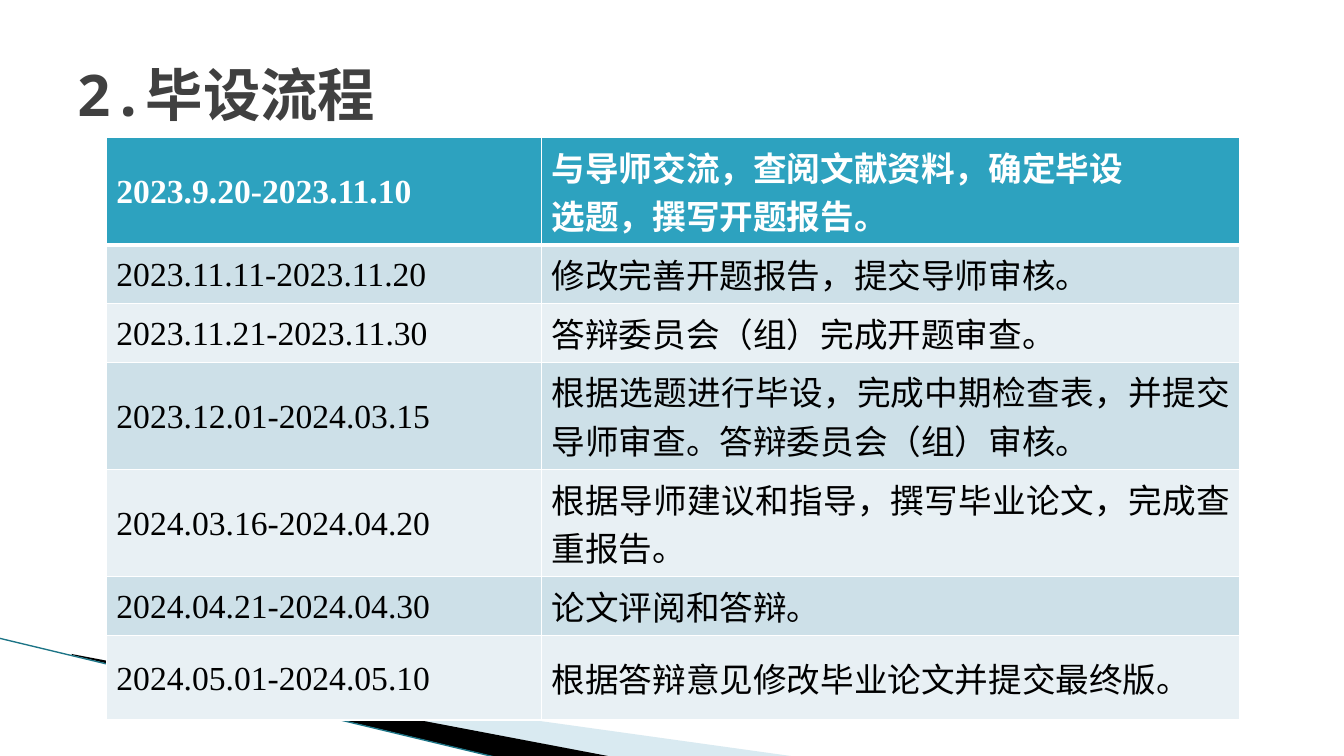
"""Build the slide with the timetable of the graduation project."""
from lxml import etree
from pptx import Presentation
from pptx.dml.color import RGBColor
from pptx.enum.shapes import MSO_CONNECTOR
from pptx.enum.text import MSO_ANCHOR, PP_ALIGN
from pptx.oxml.ns import qn
from pptx.util import Cm, Pt

MIDDLE = MSO_ANCHOR.MIDDLE
LEFT, JUSTIFY = PP_ALIGN.LEFT, PP_ALIGN.JUSTIFY
STRAIGHT = MSO_CONNECTOR.STRAIGHT

TITLE = "2.毕设流程"
STEPS = [
    ("2023.9.20-2023.11.10", "与导师交流，查阅文献资料，确定毕设\n选题，撰写开题报告。", 2.57),
    ("2023.11.11-2023.11.20", "修改完善开题报告，提交导师审核。", 1.27),
    ("2023.11.21-2023.11.30", "答辩委员会（组）完成开题审查。", 1.27),
    ("2023.12.01-2024.03.15",
     "根据选题进行毕设，完成中期检查表，并提交导师审查。答辩委员会（组）审核。", 2.57),
    ("2024.03.16-2024.04.20", "根据导师建议和指导，撰写毕业论文，完成查重报告。", 2.29),
    ("2024.04.21-2024.04.30", "论文评阅和答辩。", 1.27),
    ("2024.05.01-2024.05.10", "根据答辩意见修改毕业论文并提交最终版。", 2.13),
]
WIDTHS = (10.97, 17.6)
SPACING = 1.06
FONTS = ("Times New Roman", "Noto Sans Mono")
COLORS = {
    "title": "404040", "head": "2DA2BF", "odd": "CDE0E8", "even": "E8F0F4",
    "white": "FFFFFF", "black": "000000", "pale": "A0CBDC", "edge": "1C7486",
}
WEDGES = [
    ("pale", 40, [(1.85, 16.53), (20.14, 19.08), (15.44, 19.08), (1.85, 16.51)]),
    ("black", 100, [(1.8, 16.48), (15.47, 19.08), (12.6, 19.1), (1.83, 16.51)]),
]
EDGE = (-0.03, 16.08, 12.57, 19.1)


def color(name):
    return RGBColor.from_string(COLORS[name])


def style(run, face, size, tint, bold):
    font = run.font
    font.name, font.size, font.bold = face, Pt(size), bold
    font.color.rgb = color(tint)
    east = etree.SubElement(font._element, qn("a:ea"))
    east.set("typeface", face)


def border(cell, head):
    props = cell._tc.get_or_add_tcPr()
    for spot, side in enumerate("LRTB"):
        line = etree.Element(qn("a:ln" + side))
        line.set("w", str(Pt(3 if head and side == "B" else 1)))
        fill = etree.SubElement(line, qn("a:solidFill"))
        etree.SubElement(fill, qn("a:srgbClr")).set("val", COLORS["white"])
        props.insert(spot, line)


def wedge(shapes, tint, alpha, points):
    first, *rest = [(Cm(x), Cm(y)) for x, y in points]
    path = shapes.build_freeform(*first)
    path.add_line_segments(rest)
    shape = path.convert_to_shape()
    shape.shadow.inherit = False
    shape.fill.solid()
    shape.fill.fore_color.rgb = color(tint)
    shape.line.fill.background()
    if alpha < 100:
        tone = shape._element.spPr.find(".//" + qn("a:srgbClr"))
        etree.SubElement(tone, qn("a:alpha")).set("val", str(alpha * 1000))


deck = Presentation()
deck.slide_width, deck.slide_height = Cm(33.87), Cm(19.05)
slide = deck.slides.add_slide(deck.slide_layouts[5])
shapes = slide.shapes

for item in WEDGES:
    wedge(shapes, *item)
edge = shapes.add_connector(STRAIGHT, *map(Cm, EDGE))
edge.line.color.rgb, edge.line.width = color("edge"), Pt(0.95)
etree.SubElement(edge._element.spPr, qn("a:effectLst"))

title = shapes.title
title.left, title.top, title.width, title.height = map(Cm, (1.68, 0.76, 30.48, 3.18))
frame = title.text_frame
frame.text, frame.vertical_anchor = TITLE, MIDDLE
frame.paragraphs[0].alignment = LEFT
style(frame.paragraphs[0].runs[0], FONTS[1], 41, "title", True)

tall = sum(step[2] for step in STEPS)
box = map(Cm, (2.68, 3.46, sum(WIDTHS), tall))
table = shapes.add_table(len(STEPS), len(WIDTHS), *box).table
for col, width in zip(table.columns, WIDTHS):
    col.width = Cm(width)
for i, (*texts, height) in enumerate(STEPS):
    table.rows[i].height = Cm(height)
    head = i == 0
    tint = "head" if head else ("even", "odd")[i % 2]
    for j, text in enumerate(texts):
        cell = table.cell(i, j)
        cell.text_frame.text = text
        cell.vertical_anchor = MIDDLE
        cell.fill.solid()
        cell.fill.fore_color.rgb = color(tint)
        border(cell, head)
        for para in cell.text_frame.paragraphs:
            para.alignment, para.line_spacing = JUSTIFY, SPACING
            style(para.runs[0], FONTS[j], 24, "white" if head else "black", head)

deck.save("out.pptx")
